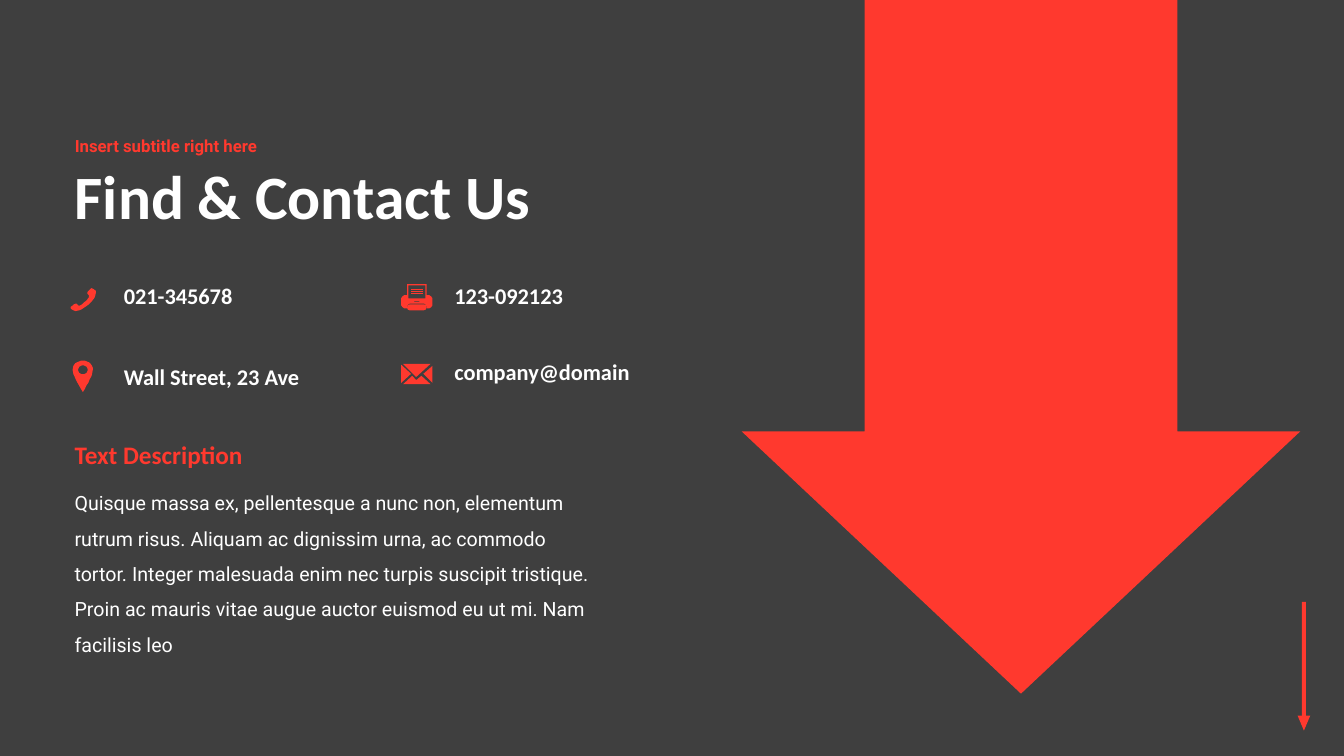
"""Build the contact slide with a large down arrow and drawn icons."""
import pptx
import pptx.dml.color
import pptx.enum.shapes
import pptx.enum.text
import pptx.util

Cm = pptx.util.Cm
MSO_SHAPE = pptx.enum.shapes.MSO_SHAPE
ANCHOR = pptx.enum.text.MSO_ANCHOR
FIT = pptx.enum.text.MSO_AUTO_SIZE

DARK, RED, WHITE = "3F3F3F", "FF392E", "FFFFFF"
UNIT = Cm(0.01)
CURVE_STEPS = 8

TITLE = ("Find & Contact Us", (1.63, 3.71, 19.05, 2.62))
SUBTITLE = ("Insert subtitle right here", (1.63, 3.23, 19.05, 0.97))
HEADING = ("Text Description", (1.63, 10.95, 7.42, 1.02))
DESCRIPTION = (
    "Quisque massa ex, pellentesque a nunc non, elementum rutrum risus. "
    "Aliquam ac dignissim urna, ac commodo tortor. Integer malesuada enim nec "
    "turpis suscipit tristique. Proin ac mauris vitae augue auctor euismod eu "
    "ut mi. Nam facilisis leo",
    (1.63, 11.96, 13.54, 3.76),
)
CONTACTS = [
    ("021-345678", (2.87, 6.99, 5.59, 0.94)),
    ("123-092123", (11.2, 6.99, 7.8, 0.94)),
    ("Wall Street, 23 Ave", (2.87, 9.02, 6.86, 0.94)),
    ("company@domain", (11.2, 8.89, 7.8, 0.94)),
]

# Outlines are in hundredths of a centimetre: pairs are corners, sixes are curves.
BIG_ARROW = [(2179, -152), (2967, -152), (2967, 1087), (3277, 1087),
             (2573, 1748), (1869, 1087), (2179, 1087)]
PHONE = [(224, 744), (221, 742, 216, 739, 224, 732), (231, 721, 236, 729, 241, 732),
         (244, 737, 241, 752, 224, 767), (206, 782, 191, 787, 185, 782),
         (180, 780, 173, 775, 183, 770), (193, 762, 193, 765, 198, 770),
         (201, 772, 208, 765, 216, 759), (221, 754, 226, 747, 224, 744)]
PIN = [(183, 932), (183, 918, 194, 909, 209, 909), (224, 909, 234, 918, 234, 932),
       (234, 945, 222, 965, 209, 988), (196, 965, 183, 945, 183, 932)]
PIN_HOLE = [(197, 932), (197, 938, 202, 943, 209, 943), (216, 943, 221, 938, 221, 932),
            (221, 926, 216, 921, 209, 921), (202, 921, 197, 926, 197, 932)]
PRINTER = [(1080, 744), (1075, 744), (1075, 716), (1026, 716), (1026, 744), (1021, 744),
           (1016, 744, 1011, 749, 1011, 754), (1011, 767),
           (1011, 772, 1016, 777, 1021, 777), (1026, 777), (1026, 775),
           (1026, 770, 1029, 765, 1034, 765), (1067, 765),
           (1072, 765, 1075, 770, 1075, 775), (1075, 777), (1080, 777),
           (1085, 777, 1090, 772, 1090, 767), (1090, 754),
           (1090, 749, 1085, 744, 1080, 744)]
PAPER = [(1029, 719), (1072, 719), (1072, 752), (1029, 752)]
SLOT = [(1044, 758), (1057, 758), (1057, 760), (1044, 760)]
TRAY = [(1067, 767), (1034, 767), (1029, 767, 1026, 770, 1026, 775),
        (1026, 779, 1029, 782, 1034, 782), (1067, 782),
        (1072, 782, 1075, 779, 1075, 775), (1075, 770, 1072, 767, 1067, 767)]
PRINT_LINES = [[(1036, y), (1065, y), (1065, y + 2), (1036, y + 2)] for y in (729, 734, 739)]
ENVELOPE = [
    [(1016, 917), (1085, 917), (1049, 950)],
    [(1090, 922), (1067, 942), (1090, 965)],
    [(1011, 919), (1011, 965), (1036, 942)],
    [(1049, 958), (1039, 947), (1016, 968), (1085, 968), (1062, 947)],
]


def rgb(color):
    return pptx.dml.color.RGBColor.from_string(color)


def write(tf, text, size=16, font="Calibri", color=WHITE, bold=True, spacing=1.0,
          anchor=ANCHOR.TOP, fit=FIT.SHAPE_TO_FIT_TEXT):
    tf.word_wrap = True
    tf.auto_size = fit
    tf.vertical_anchor = anchor
    p = tf.paragraphs[0]
    p.alignment = pptx.enum.text.PP_ALIGN.LEFT
    p.line_spacing = spacing
    p.space_before = pptx.util.Pt(0)
    r = p.add_run()
    r.text = text
    r.font.size = pptx.util.Pt(size)
    r.font.name = font
    r.font.bold = bold
    r.font.color.rgb = rgb(color)


def add_text(s, text, box, **fmt):
    write(s.shapes.add_textbox(*map(Cm, box)).text_frame, text, **fmt)


def fill_placeholder(sp, text, box, **fmt):
    sp.left, sp.top, sp.width, sp.height = map(Cm, box)
    write(sp.text_frame, text, spacing=0.9, anchor=ANCHOR.MIDDLE, fit=FIT.NONE, **fmt)


def paint(sp):
    sp.shadow.inherit = False
    sp.fill.solid()
    sp.fill.fore_color.rgb = rgb(RED)
    sp.line.fill.background()


def flatten(outline):
    points = [outline[0]]
    for part in outline[1:]:
        if len(part) == 2:
            points.append(part)
            continue
        controls = [points[-1], part[:2], part[2:4], part[4:]]
        for step in range(1, CURVE_STEPS + 1):
            t = step / CURVE_STEPS
            weights = ((1 - t) ** 3, 3 * t * (1 - t) ** 2, 3 * t * t * (1 - t), t ** 3)
            points.append(tuple(sum(w * c[axis] for w, c in zip(weights, controls))
                                for axis in (0, 1)))
    return points


def draw(shapes, *outlines):
    contours = [flatten(outline) for outline in outlines]
    builder = shapes.build_freeform(*contours[0][0], scale=UNIT)
    builder.add_line_segments(contours[0][1:], close=True)
    for contour in contours[1:]:
        builder.move_to(*contour[0])
        builder.add_line_segments(contour[1:], close=True)
    paint(builder.convert_to_shape())


def add_corner_arrow(s):
    group = s.shapes.add_group_shape()
    paint(group.shapes.add_shape(MSO_SHAPE.RECTANGLE, Cm(32.81), Cm(15.17), Cm(0.1), Cm(2.87)))
    head = group.shapes.add_shape(MSO_SHAPE.ISOSCELES_TRIANGLE,
                                  Cm(32.7), Cm(18.03), Cm(0.32), Cm(0.38))
    head.rotation = 180
    paint(head)


def main():
    prs = pptx.Presentation()
    prs.slide_width, prs.slide_height = Cm(33.87), Cm(19.05)
    s = prs.slides.add_slide(prs.slide_layouts[0])
    s.background.fill.solid()
    s.background.fill.fore_color.rgb = rgb(DARK)

    add_corner_arrow(s)
    draw(s.shapes, BIG_ARROW)
    fill_placeholder(s.shapes.title, *TITLE, size=44)
    fill_placeholder(s.placeholders[1], *SUBTITLE, size=12, font="Roboto", color=RED)
    add_text(s, *DESCRIPTION, size=14, font="Roboto", bold=False, spacing=1.5)
    add_text(s, *HEADING, size=18, color=RED)
    for text, box in CONTACTS:
        add_text(s, text, box)

    draw(s.shapes, PHONE)
    draw(s.shapes, PIN, PIN_HOLE)
    printer = s.shapes.add_group_shape()
    draw(printer.shapes, PRINTER, PAPER, SLOT)
    for outline in [TRAY, *PRINT_LINES]:
        draw(printer.shapes, outline)
    envelope = s.shapes.add_group_shape()
    for outline in ENVELOPE:
        draw(envelope.shapes, outline)
    prs.save("out.pptx")


if __name__ == "__main__":
    main()
